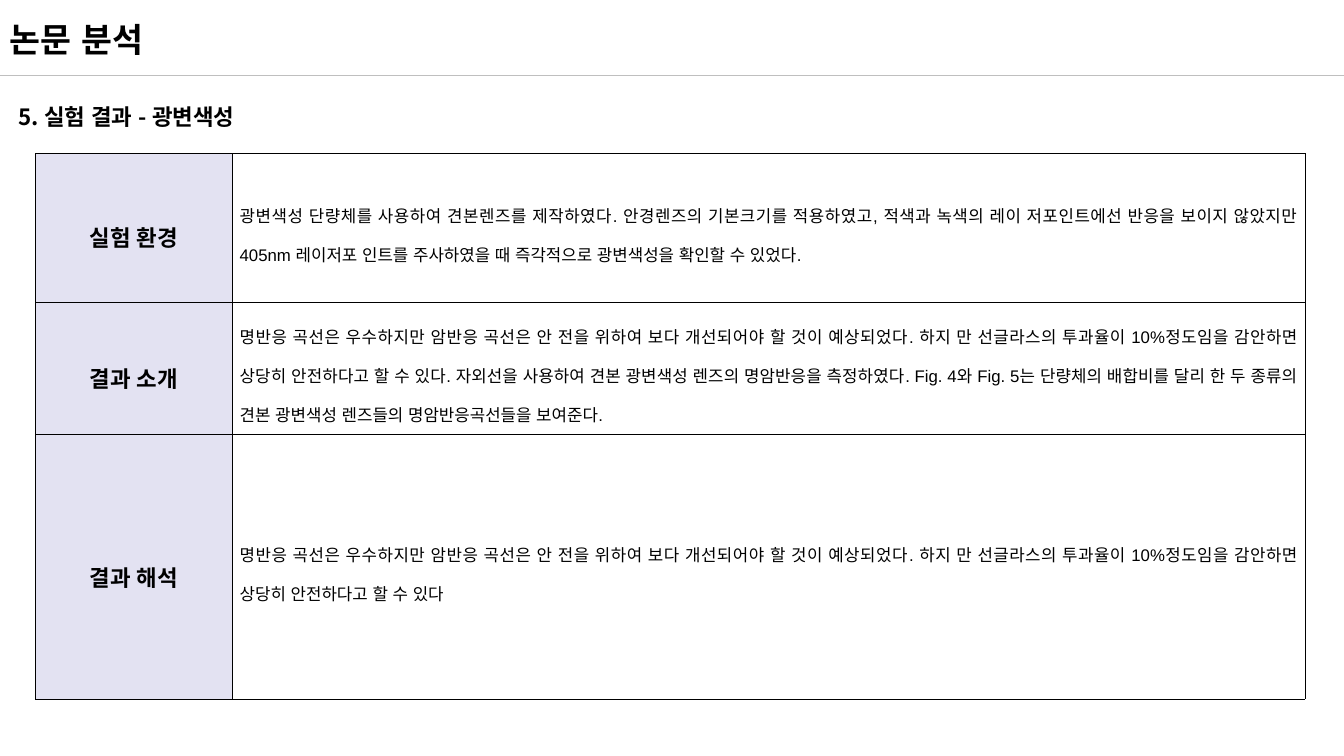
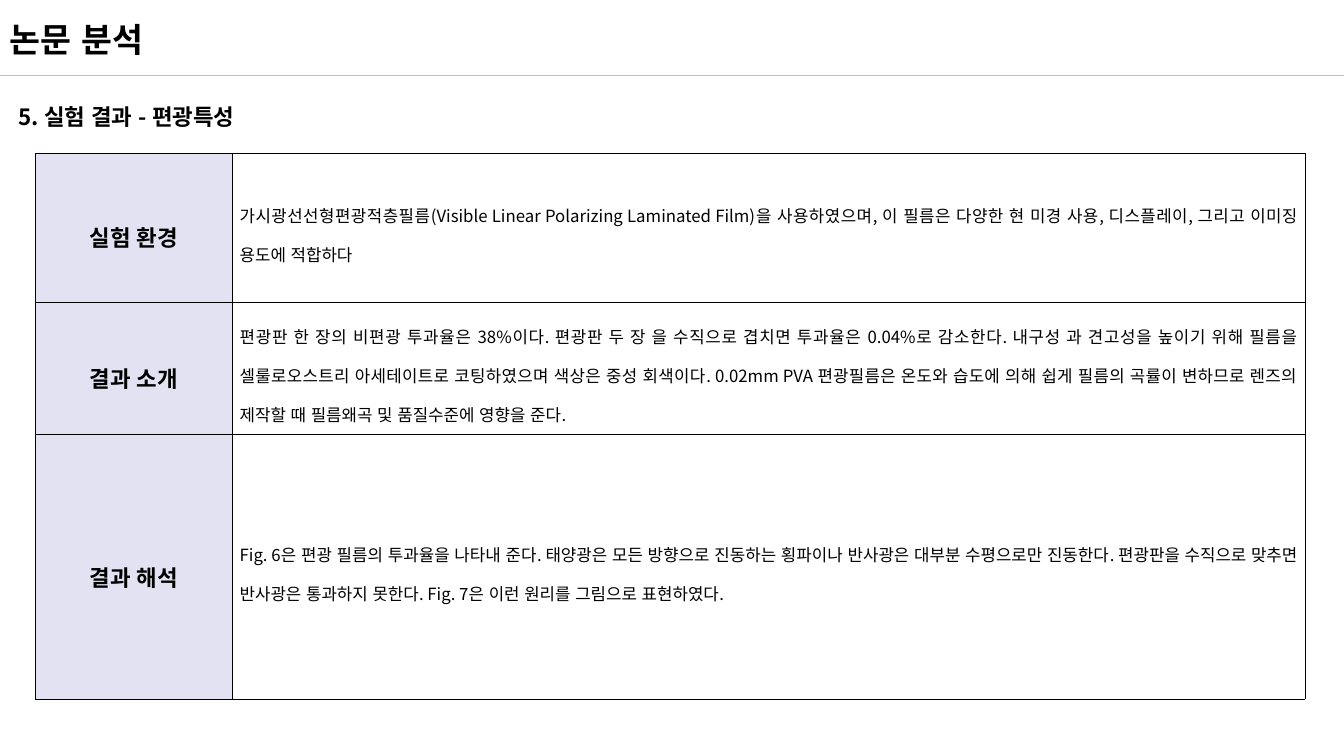
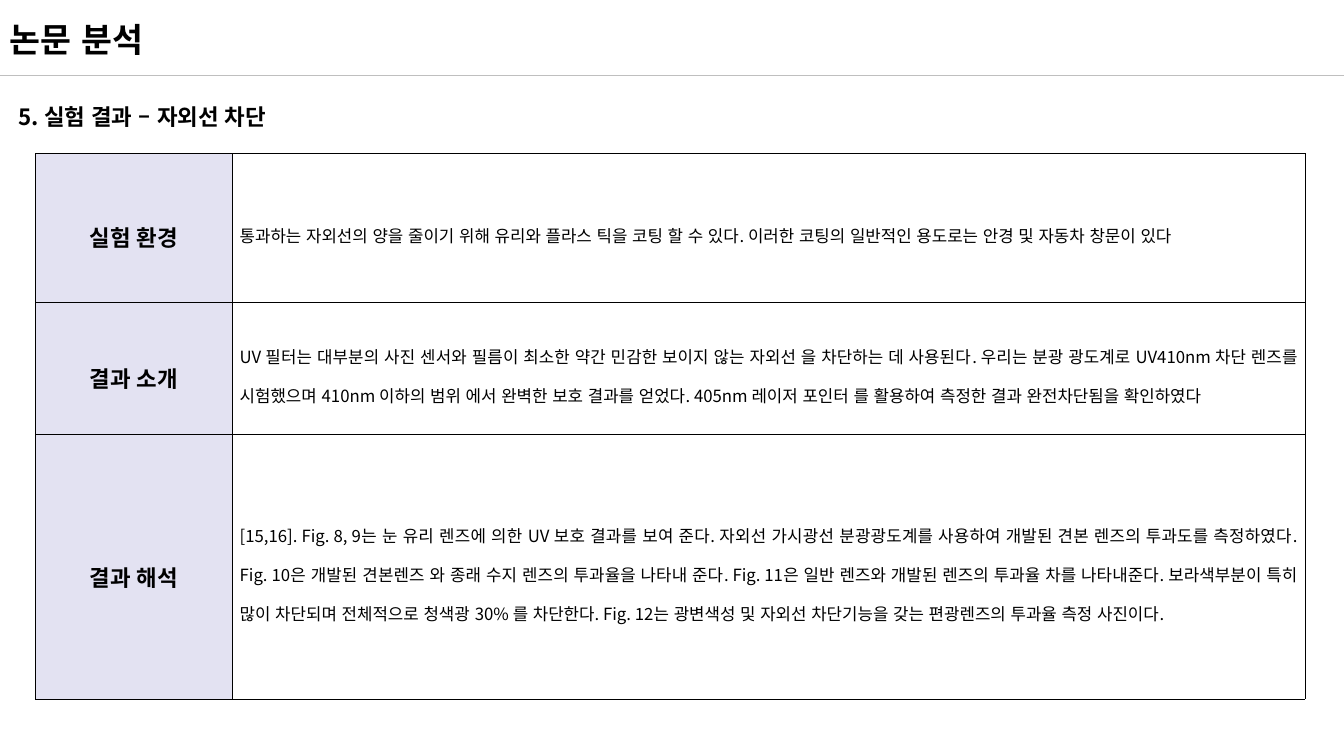
from pptx import Presentation
from pptx.dml.color import RGBColor
from pptx.enum.lang import MSO_LANGUAGE_ID
from pptx.enum.shapes import MSO_CONNECTOR
from pptx.enum.text import MSO_ANCHOR, MSO_AUTO_SIZE, PP_ALIGN
from pptx.oxml.ns import qn
from pptx.util import Cm, Pt
from lxml.etree import SubElement

WIDE, HIGH = Cm(33.87), Cm(19.05)
BLACK, GREY, LILAC = "000000", "BFBFBF", "E3E2F2"
SANS, ARIAL = "Noto Sans CJK KR", "Arial"
TITLE = "논문 분석"
HEADS = ["실험 환경", "결과 소개", "결과 해석"]
COLS = [4.97, 27.02]
ROWS = [3.75, 3.33, 6.68]

CURVES = (
    "명반응 곡선은 우수하지만 암반응 곡선은 안 전을 위하여 보다 개선되어야 할 것이 "
    "예상되었다. 하지 만 선글라스의 투과율이 10%정도임을 감안하면 상당히 안전하다고 "
    "할 수 있다"
)
PAGES = [
    ("5. 실험 결과 - 광변색성", ARIAL, [
        "광변색성 단량체를 사용하여 견본렌즈를 제작하였다. 안경렌즈의 기본크기를 "
        "적용하였고, 적색과 녹색의 레이 저포인트에선 반응을 보이지 않았지만 405nm "
        "레이저포 인트를 주사하였을 때 즉각적으로 광변색성을 확인할 수 있었다.",
        CURVES + ". 자외선을 사용하여 견본 광변색성 렌즈의 명암반응을 측정하였다. "
        "Fig. 4와 Fig. 5는 단량체의 배합비를 달리 한 두 종류의 견본 광변색성 "
        "렌즈들의 명암반응곡선들을 보여준다.",
        CURVES,
    ]),
    ("5. 실험 결과 - 편광특성", SANS, [
        "가시광선선형편광적층필름(Visible Linear Polarizing Laminated Film)을 "
        "사용하였으며, 이 필름은 다양한 현 미경 사용, 디스플레이, 그리고 이미징 "
        "용도에 적합하다",
        "편광판 한 장의 비편광 투과율은 38%이다. 편광판 두 장 을 수직으로 겹치면 "
        "투과율은 0.04%로 감소한다. 내구성 과 견고성을 높이기 위해 필름을 "
        "셀룰로오스트리 아세테이트로 코팅하였으며 색상은 중성 회색이다. 0.02mm PVA "
        "편광필름은 온도와 습도에 의해 쉽게 필름의 곡률이 변하므로 렌즈의 제작할 때 "
        "필름왜곡 및 품질수준에 영향을 준다.",
        "Fig. 6은 편광 필름의 투과율을 나타내 준다. 태양광은 모든 방향으로 진동하는 "
        "횡파이나 반사광은 대부분 수평으로만 진동한다. 편광판을 수직으로 맞추면 "
        "반사광은 통과하지 못한다. Fig. 7은 이런 원리를 그림으로 표현하였다.",
    ]),
    ("5. 실험 결과 – 자외선 차단", SANS, [
        "통과하는 자외선의 양을 줄이기 위해 유리와 플라스 틱을 코팅 할 수 있다. "
        "이러한 코팅의 일반적인 용도로는 안경 및 자동차 창문이 있다",
        "UV 필터는 대부분의 사진 센서와 필름이 최소한 약간 민감한 보이지 않는 자외선 "
        "을 차단하는 데 사용된다. 우리는 분광 광도계로 UV410nm 차단 렌즈를 "
        "시험했으며 410nm 이하의 범위 에서 완벽한 보호 결과를 얻었다. 405nm 레이저 "
        "포인터 를 활용하여 측정한 결과 완전차단됨을 확인하였다",
        "[15,16]. Fig. 8, 9는 눈 유리 렌즈에 의한 UV 보호 결과를 보여 준다. 자외선 "
        "가시광선 분광광도계를 사용하여 개발된 견본 렌즈의 투과도를 측정하였다. "
        "Fig. 10은 개발된 견본렌즈 와 종래 수지 렌즈의 투과율을 나타내 준다. "
        "Fig. 11은 일반 렌즈와 개발된 렌즈의 투과율 차를 나타내준다. 보라색부분이 "
        "특히 많이 차단되며 전체적으로 청색광 30% 를 차단한다. Fig. 12는 광변색성 및 "
        "자외선 차단기능을 갖는 편광렌즈의 투과율 측정 사진이다.",
    ]),
]


def color(code):
    """Turn a hex string into a colour."""
    return RGBColor.from_string(code)


def write(frame, text, size, face, bold, align, space):
    """Fill a text frame with one styled paragraph."""
    frame.text = text
    para = frame.paragraphs[0]
    para.alignment = align
    para.line_spacing = space
    for run in para.runs:
        font = run.font
        font.size, font.bold, font.name = Pt(size), bold, face
        font.color.rgb = color(BLACK)
        font.language_id = MSO_LANGUAGE_ID.KOREAN
        SubElement(font._element, qn("a:ea"), typeface=SANS)


def add_text(slide, left, top, text, size, space):
    """Add a bold heading box that grows with its text."""
    box = slide.shapes.add_textbox(Cm(left), Cm(top), Cm(32.6), Cm(1.27))
    frame = box.text_frame
    frame.word_wrap = True
    frame.auto_size = MSO_AUTO_SIZE.SHAPE_TO_FIT_TEXT
    write(frame, text, size, SANS, True, PP_ALIGN.LEFT, space)


def add_rule(slide, top):
    """Draw a thin line across the whole slide."""
    rule = slide.shapes.add_connector(
        MSO_CONNECTOR.STRAIGHT, 0, Cm(top), WIDE, Cm(top))
    rule.line.color.rgb = color(GREY)
    rule.line.width = Pt(0.5)
    SubElement(rule._element.spPr, qn("a:effectLst"))


def frame_cell(cell):
    """Give a cell its margins and hairline borders."""
    cell.vertical_anchor = MSO_ANCHOR.MIDDLE
    cell.margin_left = cell.margin_right = Cm(0.18)
    cell.margin_top = cell.margin_bottom = Cm(0.05)
    props = cell._tc.get_or_add_tcPr()
    for side in "LRTB":
        line = SubElement(props, qn("a:ln" + side), w=str(Cm(0.01)))
        fill = SubElement(line, qn("a:solidFill"))
        SubElement(fill, qn("a:srgbClr"), val=BLACK)


def add_grid(slide, face, notes):
    """Add the table of row heads and notes."""
    table = slide.shapes.add_table(
        len(ROWS), len(COLS), Cm(0.89), Cm(3.86),
        Cm(sum(COLS)), Cm(sum(ROWS))).table
    table.first_row = table.horz_banding = False
    for col, width in zip(table.columns, COLS):
        col.width = Cm(width)
    for row, height, head, note in zip(table.rows, ROWS, HEADS, notes):
        row.height = Cm(height)
        left, right = row.cells
        for cell in (left, right):
            frame_cell(cell)
        left.fill.solid()
        left.fill.fore_color.rgb = color(LILAC)
        right.fill.background()
        write(left.text_frame, head, 16, ARIAL, True, PP_ALIGN.CENTER, 1.6)
        write(right.text_frame, note, 12, face, False, PP_ALIGN.JUSTIFY, 1.6)


def add_page(deck, topic, face, notes):
    """Build one slide with title, topic and table."""
    slide = deck.slides.add_slide(deck.slide_layouts[6])
    add_rule(slide, 1.9)
    add_text(slide, 0, 0.36, TITLE, 24, 1.0)
    add_text(slide, 0.22, 2.13, topic, 16, 1.5)
    add_grid(slide, face, notes)


def main():
    """Build and save the deck."""
    deck = Presentation()
    deck.slide_width, deck.slide_height = WIDE, HIGH
    for topic, face, notes in PAGES:
        add_page(deck, topic, face, notes)
    deck.save("out.pptx")


main()
